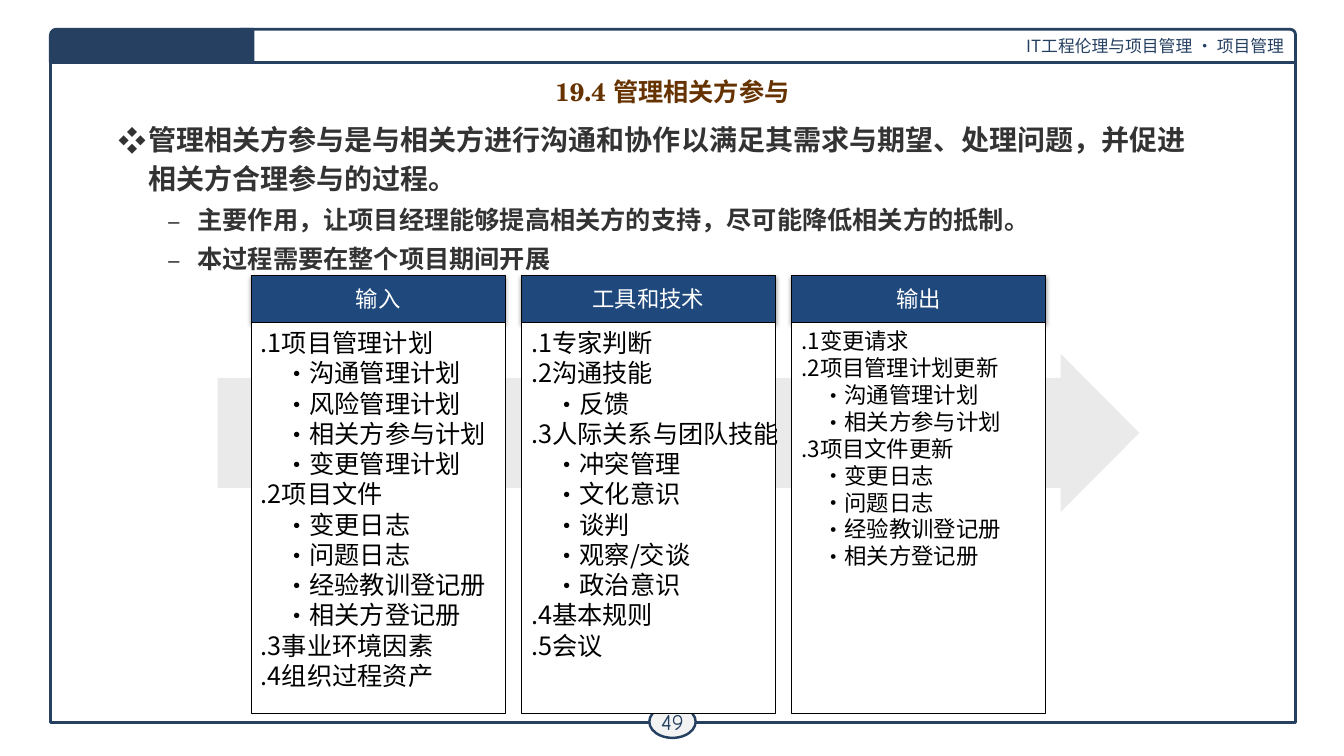
from lxml import etree
from pptx import Presentation
from pptx import util as u
from pptx.dml import color
from pptx.enum import shapes, text
from pptx.oxml import ns

NAVY, HEAD_BLUE = "254061", "1F497D"
BLACK, WHITE, INK, BROWN = "000000", "FFFFFF", "333333", "663300"
CJK, BODY_FONT, TITLE_FONT, NUMBER_FONT = "Noto Sans CJK SC", "Cabin", "TeX Gyre Schola", "Comic Neue"
LEADING = 1.2

HEADER = "IT工程伦理与项目管理 · 项目管理"
PAGE_NUMBER = "49"
TITLE = [("19.4 ", TITLE_FONT), ("管理相关方参与", BODY_FONT)]
POINTS = [
    (0, "管理相关方参与是与相关方进行沟通和协作以满足其需求与期望、处理问题，并促进相关方合理参与的过程。"),
    (1, "主要作用，让项目经理能够提高相关方的支持，尽可能降低相关方的抵制。"),
    (1, "本过程需要在整个项目期间开展"),
]
POINT_LEVELS = [
    {"size": 20, "bullet": "❖", "left": 0.29, "hang": 0.29},
    {"size": 18, "bullet": "–", "left": 0.78, "hang": 0.3},
]
COLUMNS = [
    ("输入", 18, [
        (".1项目管理计划", ["沟通管理计划", "风险管理计划", "相关方参与计划", "变更管理计划"]),
        (".2项目文件", ["变更日志", "问题日志", "经验教训登记册", "相关方登记册"]),
        (".3事业环境因素", []),
        (".4组织过程资产", []),
    ]),
    ("工具和技术", 18, [
        (".1专家判断", []),
        (".2沟通技能", ["反馈"]),
        (".3人际关系与团队技能", ["冲突管理", "文化意识", "谈判", "观察/交谈", "政治意识"]),
        (".4基本规则", []),
        (".5会议", []),
    ]),
    ("输出", 16, [
        (".1变更请求", []),
        (".2项目管理计划更新", ["沟通管理计划", "相关方参与计划"]),
        (".3项目文件更新", ["变更日志", "问题日志", "经验教训登记册", "相关方登记册"]),
    ]),
]
COLUMN_LEFT, COLUMN_STEP, COLUMN_WIDTH = 2.49, 2.68, 2.52
HEAD_TOP, HEAD_HEIGHT, LIST_HEIGHT = 2.73, 0.47, 3.88


def rgb(value):
    return color.RGBColor.from_string(value)


def add_child(parent, tag, **attributes):
    child = etree.SubElement(parent, ns.qn(tag))
    for name, value in attributes.items():
        child.set(name, str(value))
    return child


def add_box(page, kind, place, fill=None, line=None, weight=0.75, adjust=()):
    box = page.shapes.add_shape(kind, *map(u.Inches, place))
    box.shadow.inherit = False
    if fill:
        box.fill.solid()
        box.fill.fore_color.rgb = rgb(fill)
    else:
        box.fill.background()
    if line:
        box.line.color.rgb = rgb(line)
        box.line.width = u.Pt(weight)
    else:
        box.line.fill.background()
    for index, value in enumerate(adjust):
        box.adjustments[index] = value
    return box


def set_frame(box, anchor=text.MSO_ANCHOR.TOP, wrap=True):
    frame = box.text_frame
    for name, value in {"vertical_anchor": anchor, "word_wrap": wrap}.items():
        setattr(frame, name, value)
    return frame


def add_para(frame, spans, size, ink, bold=False, align=text.PP_ALIGN.LEFT,
             leading=None, bullet=None, left=0, hang=0):
    para = frame.paragraphs[0]
    if para.runs:
        para = frame.add_paragraph()
    para.alignment = align
    if leading:
        para.line_spacing = u.Pt(leading)
    if bullet:
        properties = para._p.get_or_add_pPr()
        properties.set("marL", str(u.Inches(left)))
        properties.set("indent", str(-u.Inches(hang)))
        add_child(properties, "a:buFont", typeface=CJK)
        add_child(properties, "a:buChar", char=bullet)
    for words, font_name in spans:
        span = para.add_run()
        span.text = words
        for name, value in {"name": font_name, "size": u.Pt(size), "bold": bold}.items():
            setattr(span.font, name, value)
        span.font.color.rgb = rgb(ink)
        add_child(span._r.get_or_add_rPr(), "a:ea", typeface=CJK)


def add_shadow(box):
    effects = box._element.spPr.find(ns.qn("a:effectLst"))
    shadow = add_child(effects, "a:outerShdw", blurRad=u.Pt(3.1), dist=u.Pt(1.8),
                       dir=90 * 60000, rotWithShape=0)
    tint = add_child(shadow, "a:srgbClr", val=BLACK)
    add_child(tint, "a:alpha", val=35000)


def add_page_frame(page):
    kinds = shapes.MSO_SHAPE
    middle = text.MSO_ANCHOR.MIDDLE
    add_box(page, kinds.RECTANGLE, (0.5, 0.5, 12.35, 6.67), line=NAVY, weight=2)
    header = add_box(page, kinds.ROUND_1_RECTANGLE, (2.38, 0.29, 10.47, 0.33), WHITE, NAVY, 2)
    add_para(set_frame(header, middle), [(HEADER, CJK)], 12, NAVY, align=text.PP_ALIGN.RIGHT)
    badge = add_box(page, kinds.OVAL, (6.44, 7, 0.46, 0.32), "F3F3F3", NAVY, 1.75)
    frame = set_frame(badge, middle, False)
    for side in ("left", "right", "top", "bottom"):
        setattr(frame, "margin_" + side, u.Inches(0.04))
    add_para(frame, [(PAGE_NUMBER, NUMBER_FONT)], 16, NAVY, align=text.PP_ALIGN.CENTER)
    tab = add_box(page, kinds.ROUND_1_RECTANGLE, (0.5, 0.29, 2.01, 0.33), NAVY, NAVY, 2, [0.175])
    tab._element.spPr.xfrm.set("flipH", "1")


def add_heading(page):
    title = page.shapes.add_textbox(*map(u.Inches, (2.17, 0.71, 9, 0.48)))
    add_para(set_frame(title), TITLE, 18, BROWN, True, text.PP_ALIGN.CENTER, 18 * LEADING)
    body = page.shapes.add_textbox(*map(u.Inches, (1.08, 1.11, 11.04, 1.8)))
    frame = set_frame(body)
    for level, words in POINTS:
        add_para(frame, [(words, BODY_FONT)], ink=INK, bold=True, leading=28, **POINT_LEVELS[level])


def add_column(page, left, heading, size, entries):
    kind = shapes.MSO_SHAPE.RECTANGLE
    head = add_box(page, kind, (left, HEAD_TOP, COLUMN_WIDTH, HEAD_HEIGHT), HEAD_BLUE, BLACK)
    add_shadow(head)
    add_para(set_frame(head, text.MSO_ANCHOR.MIDDLE, False), [(heading, CJK)], 16, WHITE,
             align=text.PP_ALIGN.CENTER)
    panel = add_box(page, kind, (left, HEAD_TOP + HEAD_HEIGHT, COLUMN_WIDTH, LIST_HEIGHT), WHITE, BLACK)
    frame = set_frame(panel, wrap=False)
    em = size / 72
    for entry, details in entries:
        add_para(frame, [(entry, CJK)], size, BLACK, leading=size * LEADING)
        for detail in details:
            add_para(frame, [(detail, CJK)], size, BLACK, leading=size * LEADING,
                     bullet="·", left=1.92 * em, hang=em)


def main():
    deck = Presentation()
    deck.slide_width, deck.slide_height = u.Inches(13.33), u.Inches(7.5)
    page = deck.slides.add_slide(deck.slide_layouts[6])
    add_page_frame(page)
    add_heading(page)
    add_box(page, shapes.MSO_SHAPE.RIGHT_ARROW, (2.16, 3.51, 9.14, 1.57), "EAEAEA",
            adjust=[0.694, 0.497])
    for index, column in enumerate(COLUMNS):
        add_column(page, COLUMN_LEFT + index * COLUMN_STEP, *column)
    deck.save("out.pptx")


if __name__ == "__main__":
    main()
